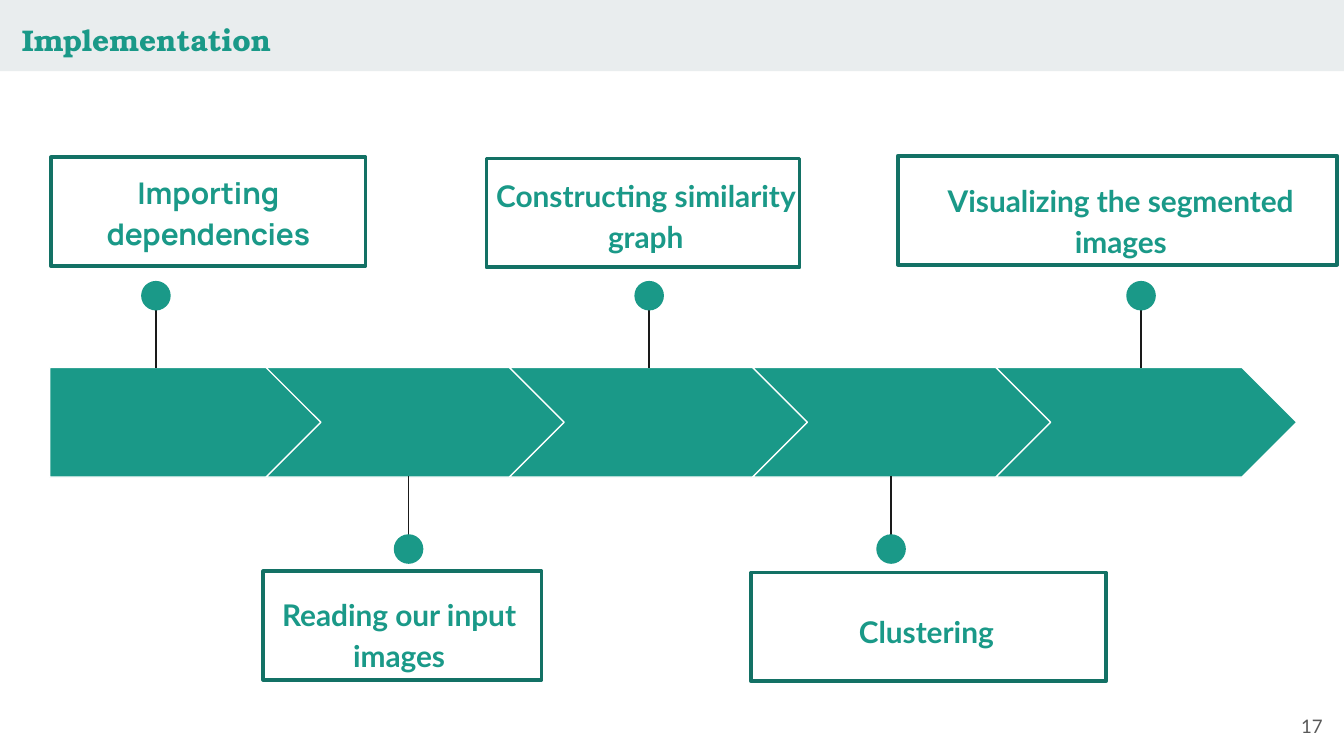
from lxml.etree import SubElement
from pptx import Presentation
from pptx.dml.color import RGBColor
from pptx.enum.shapes import MSO_CONNECTOR, MSO_SHAPE
from pptx.enum.text import MSO_ANCHOR, PP_ALIGN
from pptx.oxml.ns import qn
from pptx.util import Inches, Pt

COLORS = {
    "teal": "1A9988",
    "frame": "137165",
    "band": "E9EDEE",
    "white": "FFFFFF",
    "ink": "1A1A1A",
    "gray": "595959",
}
COLUMNS, ROWS = 100, 56.25

STEPS = [
    ("Importing dependencies", "Manrope", 11.6,
     (2.4, 11.6, 26.2, 7.6), (3.8, 11.7, 23.4, 8.1)),
    ("Reading our input images", "Lato", 30.4,
     (18.5, 43, 22.4, 8.2), (19.6, 42.5, 20.7, 8.1)),
    ("Constructing similarity graph", "Lato", 48.3,
     (35.8, 11.8, 24.5, 9.9), (36.2, 11.8, 23.3, 8.1)),
    ("Clustering ", "Lato", 66.3,
     (56, 44.3, 26.4, 8.7), (55.9, 42.6, 26.4, 8.1)),
    ("Visualizing the segmented images", "Lato", 84.9,
     (65.9, 12.2, 35, 8.2), (66.8, 11.6, 32.7, 8.1)),
]


class SlideBuilder:
    def __init__(self, deck):
        self.slide = deck.slides.add_slide(deck.slide_layouts[6])
        self.column = deck.slide_width / COLUMNS
        self.row = deck.slide_height / ROWS

    def place(self, left, top, width, height):
        return (round(left * self.column), round(top * self.row),
                round(width * self.column), round(height * self.row))

    def color(self, name):
        return RGBColor.from_string(COLORS[name])

    def shape(self, kind, area, fill=None, line=None, weight=0.75):
        shape = self.slide.shapes.add_shape(kind, *self.place(*area))
        shape.shadow.inherit = False
        if fill:
            shape.fill.solid()
            shape.fill.fore_color.rgb = self.color(fill)
        else:
            shape.fill.background()
        if line:
            shape.line.color.rgb = self.color(line)
            shape.line.width = Pt(weight)
        else:
            shape.line.fill.background()
        return shape

    def line(self, column, start, end):
        ends = self.place(column, start, column, end)
        connector = self.slide.shapes.add_connector(MSO_CONNECTOR.STRAIGHT, *ends)
        connector.line.color.rgb = self.color("ink")
        connector.line.width = Pt(0.75)
        SubElement(connector._element.spPr, qn("a:effectLst"))

    def text(self, words, area, font, size, color="teal", bold=True, wrap=True,
             align=PP_ALIGN.LEFT, anchor=MSO_ANCHOR.TOP, inset=0.1, spacing=1.0):
        box = self.slide.shapes.add_textbox(*self.place(*area))
        frame = box.text_frame
        frame.word_wrap = wrap
        frame.vertical_anchor = anchor
        frame.margin_left = frame.margin_right = Inches(0.1)
        frame.margin_top = frame.margin_bottom = Inches(inset)
        para = frame.paragraphs[0]
        para.alignment = align
        para.line_spacing = spacing
        span = para.add_run()
        span.text = words
        span.font.name = font
        span.font.size = Pt(size)
        span.font.bold = bold
        span.font.color.rgb = self.color(color)

    def marker(self, column, above):
        if above:
            self.line(column, 21.3, 27.4)
        else:
            self.line(column, 41.5, 35.4)
        top = 20.9 if above else 39.75
        self.shape(MSO_SHAPE.OVAL, (column - 1.1, top, 2.2, 2.2), "teal")

    def arrow(self, index):
        if index == 0:
            kind, area = MSO_SHAPE.PENTAGON, (3.7, 27.35, 20.5, 8.15)
        else:
            kind, area = MSO_SHAPE.CHEVRON, (1.7 + 18.1 * index, 27.35, 22.4, 8.15)
        self.shape(kind, area, "teal", "white").adjustments[0] = 0.5


def main():
    deck = Presentation()
    deck.slide_width = Inches(10)
    deck.slide_height = deck.slide_width * 9 // 16
    page = SlideBuilder(deck)
    page.shape(MSO_SHAPE.RECTANGLE, (0, 0, COLUMNS, 5.3), "band")
    page.text("Implementation", (0.65, 1.1, 21.6, 3.7), "TeX Gyre Bonum", 16,
              wrap=False, inset=0.05)
    for index, (label, font, column, label_area, frame_area) in enumerate(STEPS):
        page.arrow(index)
        page.marker(column, above=index % 2 == 0)
        page.text(label, label_area, font, 16, align=PP_ALIGN.CENTER, spacing=1.15)
        page.shape(MSO_SHAPE.RECTANGLE, frame_area, line="frame", weight=2)
    page.text("17", (93.4, 51.9, 6, 4.3), "Lato", 10, "gray", bold=False,
              align=PP_ALIGN.RIGHT, anchor=MSO_ANCHOR.MIDDLE)
    deck.save("out.pptx")


if __name__ == "__main__":
    main()
